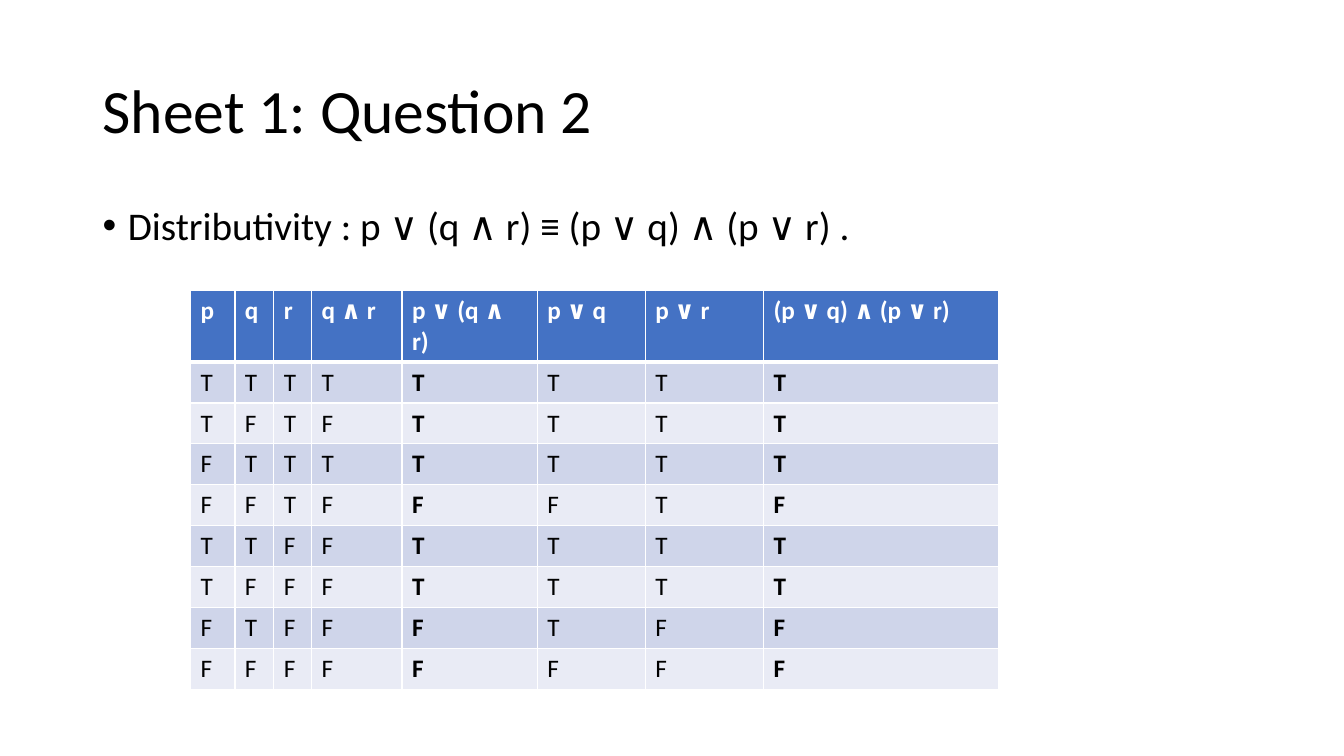
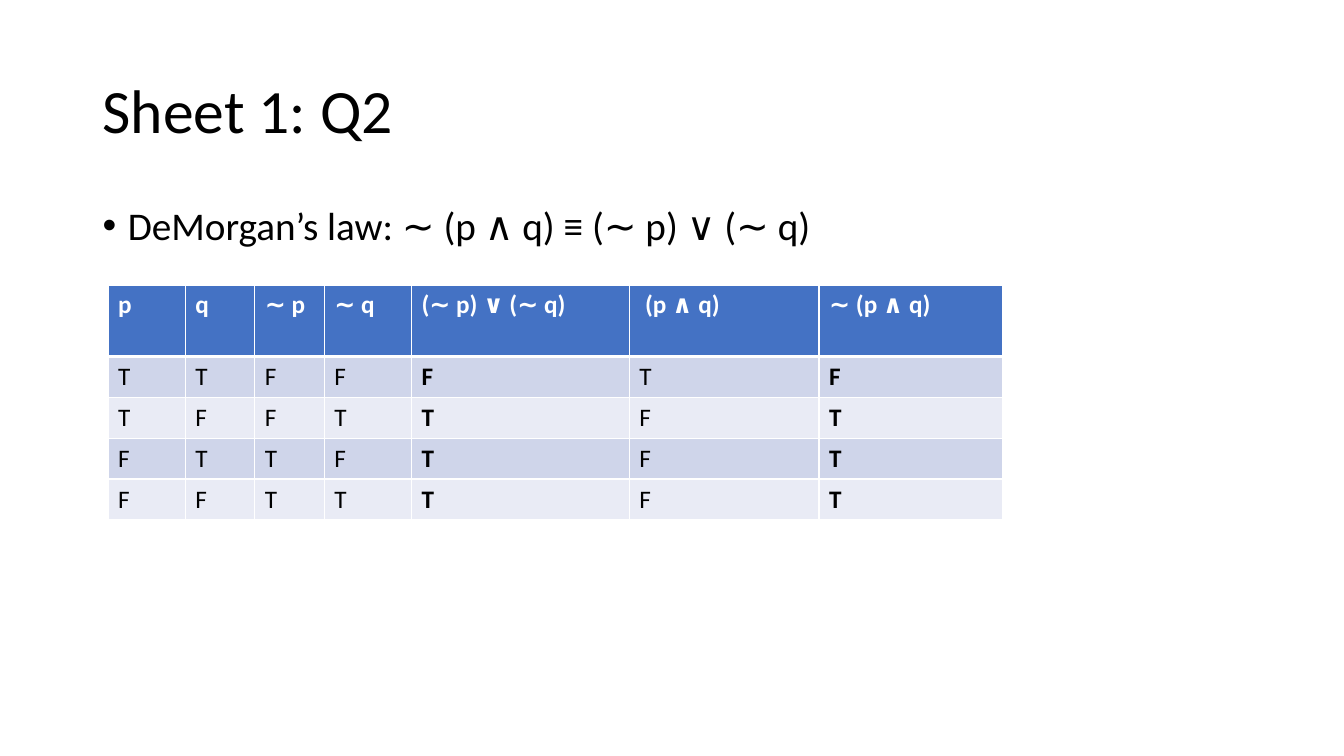
from lxml.etree import SubElement
from pptx import Presentation
from pptx.dml.color import RGBColor
from pptx.enum.text import MSO_ANCHOR as ANCHOR, PP_ALIGN as ALIGN
from pptx.oxml.ns import qn
from pptx.util import Cm, Pt

BLACK = RGBColor(0x00, 0x00, 0x00)
WHITE = RGBColor(0xFF, 0xFF, 0xFF)
BLUE = RGBColor(0x44, 0x72, 0xC4)
BANDS = [RGBColor(0xCF, 0xD5, 0xEA), RGBColor(0xE9, 0xEB, 0xF5)]
FONT = "Calibri"
HEADER_H, ROW_H = Cm(1.8), Cm(1.03)

# One entry per slide; each truth row is a string with one letter per column
SLIDES = [
    dict(
        title="Sheet 1: Question 2",
        law="Distributivity : p ∨ (q ∧ r) ≡ (p ∨ q) ∧ (p ∨ r) .",
        left=4.8, top=7.32,
        widths=[1.12, 0.98, 0.95, 2.28, 3.41, 2.72, 2.98, 5.93],
        header=["p", "q", "r", "q ∧ r", "p ∨ (q ∧ r)", "p ∨ q", "p ∨ r",
                "(p ∨ q) ∧ (p ∨ r)"],
        rows=["TTTTTTTT", "TFTFTTTT", "FTTTTTTT", "FFTFFFTF",
              "TTFFTTTT", "TFFFTTTT", "FTFFFTFF", "FFFFFFFF"],
        bold=[4, 7],
    ),
    dict(
        title="Sheet 1: Q2",
        law="DeMorgan’s law: ∼ (p ∧ q) ≡ (∼ p) ∨ (∼ q)",
        left=2.72, top=7.18,
        widths=[1.95, 1.75, 1.75, 2.2, 5.49, 4.78, 4.62],
        header=["p", "q", "∼ p", "∼ q", "(∼ p) ∨ (∼ q)", " (p ∧ q)",
                "∼ (p ∧ q)"],
        rows=["TTFFFTF", "TFFTTFT", "FTTFTFT", "FFTTTFT"],
        bold=[4, 6],
    ),
]


def write(tf, text, size=18, color=BLACK, bold=False, spacing=None, before=0):
    p = tf.paragraphs[0]
    p.alignment = ALIGN.LEFT
    p.line_spacing = spacing
    p.space_before = Pt(before)
    r = p.add_run()
    r.text = text
    r.font.name = FONT
    r.font.size = Pt(size)
    r.font.bold = bold
    r.font.color.rgb = color
    return p


def set_borders(cell, top=1, bottom=1):
    tcPr = cell._tc.get_or_add_tcPr()
    for side, width in [("L", 1), ("R", 1), ("T", top), ("B", bottom)]:
        ln = SubElement(tcPr, qn(f"a:ln{side}"), w=str(Pt(width)))
        fill = SubElement(ln, qn("a:solidFill"))
        SubElement(fill, qn("a:srgbClr"), val=str(WHITE))


prs = Presentation()
prs.slide_width, prs.slide_height = Cm(33.87), Cm(19.05)

# Shared placeholder positions
layout = prs.slide_layouts[1]
for sp, top, height in zip(layout.placeholders, (1.01, 5.07), (3.68, 12.09)):
    sp.left, sp.top = Cm(2.33), Cm(top)
    sp.width, sp.height = Cm(29.21), Cm(height)

for data in SLIDES:
    s = prs.slides.add_slide(layout)

    # Title and law
    tf = s.shapes.title.text_frame
    tf.vertical_anchor = ANCHOR.MIDDLE
    write(tf, data["title"], size=44, spacing=0.9)
    p = write(s.placeholders[1].text_frame, data["law"], size=28,
              spacing=0.9, before=10)
    pPr = p._p.get_or_add_pPr()
    pPr.set("marL", str(Cm(0.64)))
    pPr.set("indent", str(-Cm(0.64)))

    # Truth table
    header, widths = data["header"], data["widths"]
    grid = [header] + data["rows"]
    table = s.shapes.add_table(
        len(grid), len(header), Cm(data["left"]), Cm(data["top"]),
        Cm(sum(widths)), HEADER_H + ROW_H * len(data["rows"])).table
    table.horz_banding = False
    for col, width in zip(table.columns, widths):
        col.width = Cm(width)
    for i, values in enumerate(grid):
        is_header = i == 0
        table.rows[i].height = HEADER_H if is_header else ROW_H
        for j, value in enumerate(values):
            cell = table.cell(i, j)
            set_borders(cell, top=3 if i == 1 else 1,
                        bottom=3 if is_header else 1)
            cell.fill.solid()
            cell.fill.fore_color.rgb = BLUE if is_header else BANDS[(i - 1) % 2]
            write(cell.text_frame, value,
                  color=WHITE if is_header else BLACK,
                  bold=is_header or j in data["bold"])

prs.save("out.pptx")
